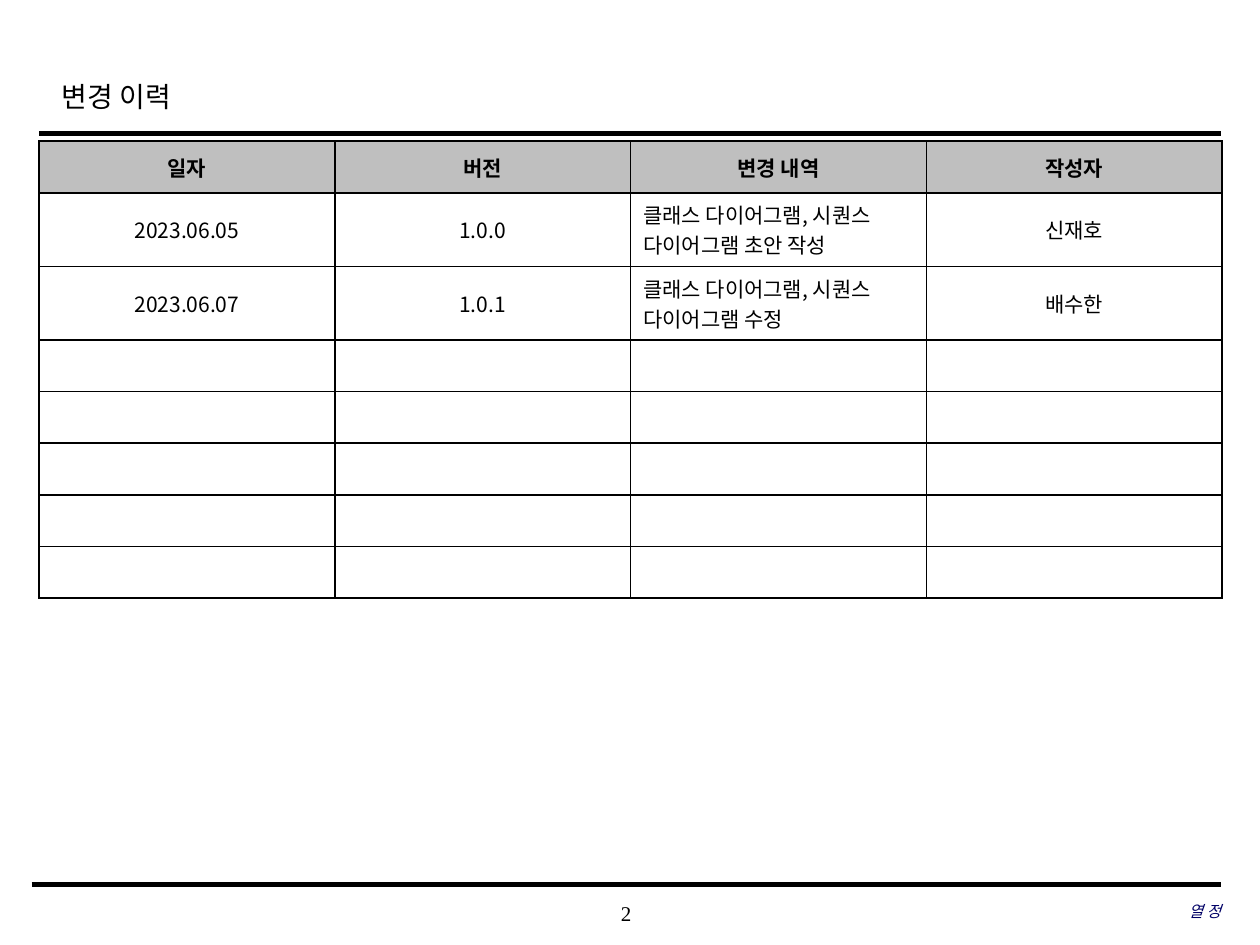
from typing import NamedTuple

from lxml.etree import SubElement
from pptx import Presentation
from pptx.dml.color import RGBColor
from pptx.enum.shapes import MSO_CONNECTOR
from pptx.enum.text import MSO_ANCHOR, PP_ALIGN
from pptx.oxml.ns import qn
from pptx.util import Inches, Pt

SERIF = "Times New Roman"
SANS = "Noto Sans CJK KR"
BLACK = "000000"


class Rule(NamedTuple):
    left: float
    right: float
    y: float
    weight: float


class Label(NamedTuple):
    text: str
    left: float
    top: float
    width: float
    align: PP_ALIGN
    size: float
    color: str = BLACK
    italic: bool = False


RULES = [Rule(0.31, 9.69, 1.06, 2.5), Rule(0.25, 9.69, 7.02, 3)]
FOOTERS = [
    Label("2", 3.93, 7.08, 2.08, PP_ALIGN.CENTER, 12),
    Label("열 정", 6.63, 7.07, 3.06, PP_ALIGN.RIGHT, 9, "000066", True),
]
HEADERS = ["일자", "버전", "변경 내역", "작성자"]
HISTORY = [
    ["2023.06.05", "1.0.0", "클래스 다이어그램, 시퀀스 다이어그램 초안 작성", "신재호"],
    ["2023.06.07", "1.0.1", "클래스 다이어그램, 시퀀스 다이어그램 수정", "배수한"],
]
EMPTY_ROWS = 5
NOTE_COLUMN = 2


def rgb(color: str) -> RGBColor:
    return RGBColor.from_string(color)


def format_paragraph(p, font: str, size: float, color: str = BLACK,
                     align: PP_ALIGN = PP_ALIGN.LEFT) -> None:
    p.alignment = align
    p.font.name = font
    p.font.size = Pt(size)
    p.font.color.rgb = rgb(color)


def add_rule(s, rule: Rule) -> None:
    line = s.shapes.add_connector(
        MSO_CONNECTOR.STRAIGHT, Inches(rule.left), Inches(rule.y),
        Inches(rule.right), Inches(rule.y))
    line.line.color.rgb = rgb(BLACK)
    line.line.width = Pt(rule.weight)
    SubElement(line._element.spPr, qn("a:effectLst"))


def add_label(s, label: Label) -> None:
    sp = s.shapes.add_textbox(Inches(label.left), Inches(label.top),
                              Inches(label.width), Inches(0.33))
    tf = sp.text_frame
    tf.word_wrap = True
    tf.vertical_anchor = MSO_ANCHOR.MIDDLE
    tf.margin_left = tf.margin_right = tf.margin_top = tf.margin_bottom = 0
    p = tf.paragraphs[0]
    p.text = label.text
    format_paragraph(p, SERIF, label.size, label.color, label.align)
    p.font.italic = label.italic


def set_borders(cell, color: str, weight: float) -> None:
    tc_pr = cell._tc.get_or_add_tcPr()
    for i, side in enumerate(("lnL", "lnR", "lnT", "lnB")):
        ln = tc_pr.makeelement(qn(f"a:{side}"), {"w": str(Pt(weight))})
        fill = SubElement(ln, qn("a:solidFill"))
        SubElement(fill, qn("a:srgbClr"), val=color)
        tc_pr.insert(i, ln)


def add_history_table(s) -> None:
    rows = [HEADERS, *HISTORY, *([[""] * len(HEADERS)] * EMPTY_ROWS)]
    table = s.shapes.add_table(
        len(rows), len(HEADERS), Inches(0.31), Inches(1.12),
        Inches(9.39), Inches(0.41 * len(rows))).table
    for r, texts in enumerate(rows):
        for c, text in enumerate(texts):
            cell = table.cell(r, c)
            cell.fill.solid()
            cell.fill.fore_color.rgb = rgb("FFFFFF" if r else "BFBFBF")
            cell.vertical_anchor = MSO_ANCHOR.MIDDLE
            p = cell.text_frame.paragraphs[0]
            p.text = text
            is_note = r > 0 and c == NOTE_COLUMN
            format_paragraph(p, SANS, 12,
                             align=PP_ALIGN.LEFT if is_note else PP_ALIGN.CENTER)
            p.font.bold = r == 0
            set_borders(cell, BLACK, 1)


def main() -> None:
    prs = Presentation()
    prs.slide_width, prs.slide_height = Inches(10), Inches(7.5)
    s = prs.slides.add_slide(prs.slide_layouts[5])

    # Title
    title = s.shapes.title
    title.left, title.top = Inches(0.39), Inches(0.49)
    title.width, title.height = Inches(7.55), Inches(0.5)
    title.text_frame.vertical_anchor = MSO_ANCHOR.MIDDLE
    p = title.text_frame.paragraphs[0]
    p.text = "변경 이력"
    p.line_spacing = 1.2
    format_paragraph(p, SERIF, 16)

    # Rules above and below the content
    for rule in RULES:
        add_rule(s, rule)

    # Change history
    add_history_table(s)

    # Page number and team name
    for label in FOOTERS:
        add_label(s, label)

    prs.save("out.pptx")


if __name__ == "__main__":
    main()
